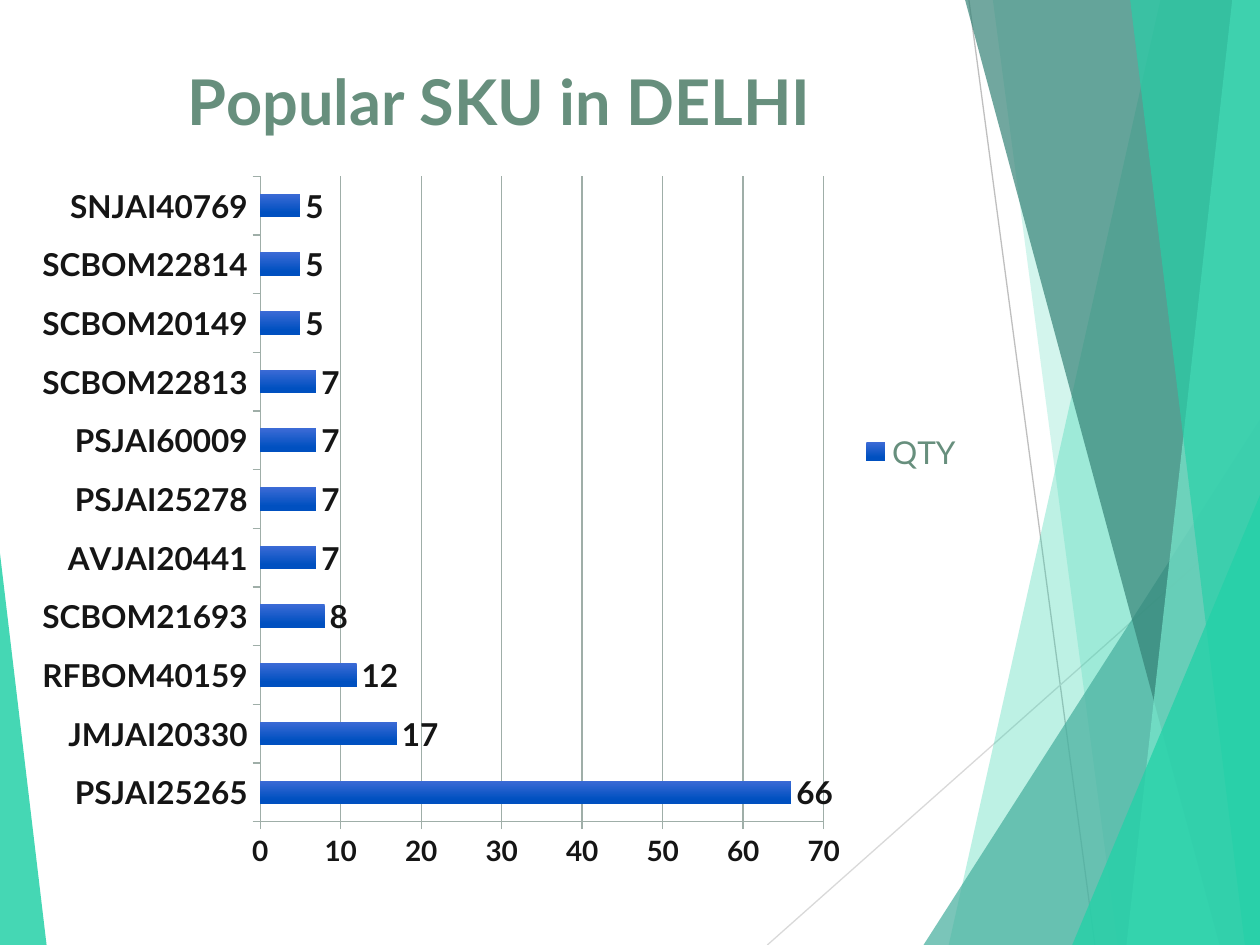
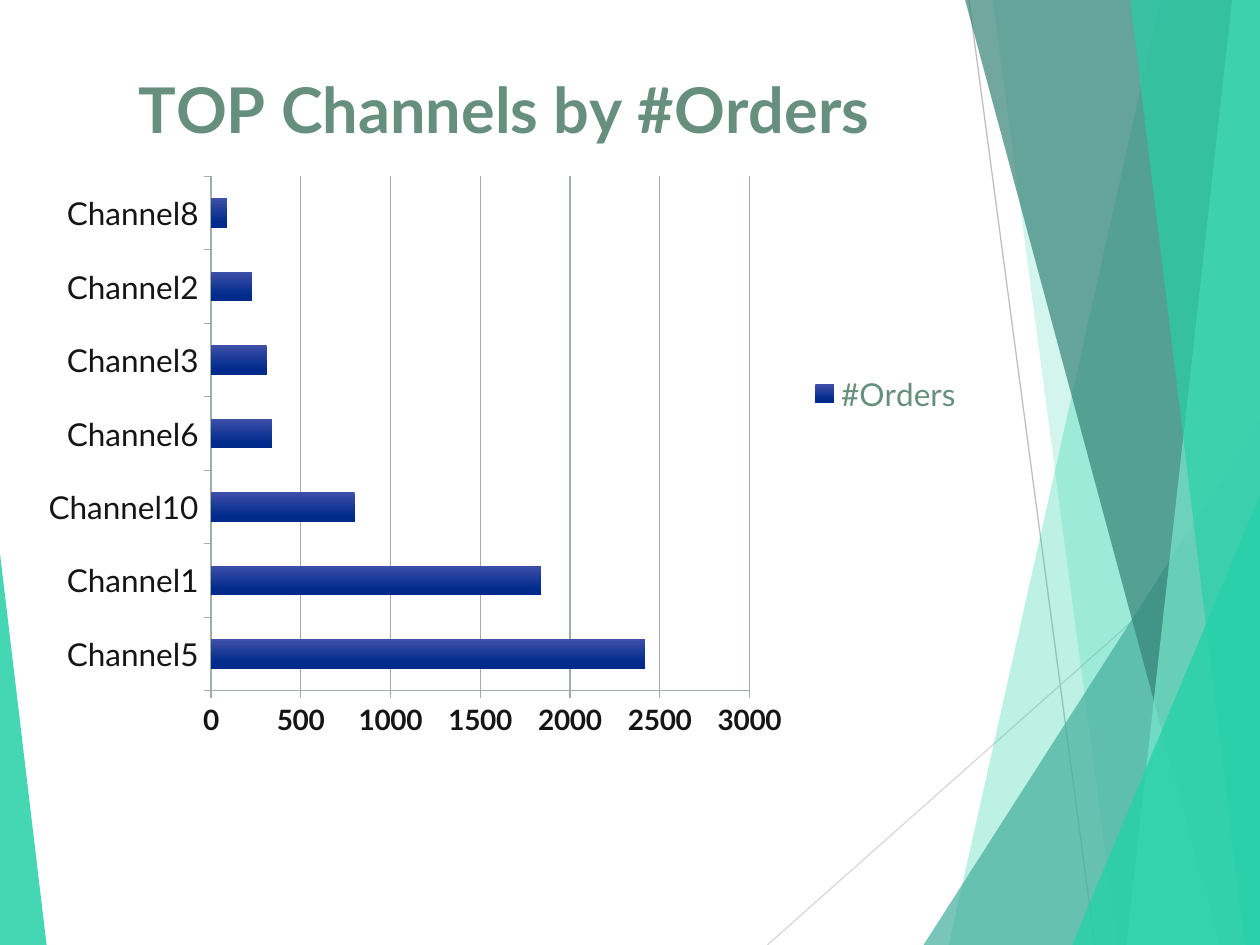
"""Build two bar chart slides over a shared faceted green backdrop."""
from lxml.etree import SubElement
from pptx import Presentation
from pptx.chart.data import CategoryChartData
from pptx.dml.color import RGBColor
from pptx.enum.chart import XL_CHART_TYPE, XL_LABEL_POSITION, XL_LEGEND_POSITION, XL_TICK_MARK
from pptx.enum.shapes import MSO_CONNECTOR, MSO_SHAPE
from pptx.oxml import parse_xml
from pptx.oxml.ns import nsdecls, qn
from pptx.util import Inches, Pt

MINT = RGBColor(0x25, 0xD1, 0xA8)
PALE_MINT = RGBColor(0x78, 0xE7, 0xCD)
TEAL = RGBColor(0x47, 0xAF, 0x9E)
DEEP_TEAL = RGBColor(0x35, 0x83, 0x77)
SAGE = RGBColor(0x67, 0x8F, 0x7D)
GRID_GRAY = RGBColor(0x9F, 0xAE, 0xA8)
LINE_GRAY = RGBColor(0xBF, 0xBF, 0xBF)
LIGHT_GRAY = RGBColor(0xD9, 0xD9, 0xD9)
INK = RGBColor(0x15, 0x15, 0x15)
BLUES = (RGBColor(0x3C, 0x6B, 0xD6), RGBColor(0x00, 0x50, 0xC0))
NAVIES = (RGBColor(0x3E, 0x4F, 0xA8), RGBColor(0x00, 0x2B, 0x8C))

COLUMNS, ROWS = 100, 75
FONT = "Lato"


class SlideWriter:
    """Holds the style and the current slide, placed on a grid of columns and rows."""

    def __init__(self):
        self.deck = Presentation()
        self.deck.slide_width, self.deck.slide_height = Inches(10), Inches(7.5)
        self.page = None

    def across(self, columns):
        return round(self.deck.slide_width * columns / COLUMNS)

    def down(self, rows):
        return round(self.deck.slide_height * rows / ROWS)

    def place(self, left, top, width, height):
        return self.across(left), self.down(top), self.across(width), self.down(height)

    def new_page(self):
        self.page = self.deck.slides.add_slide(self.deck.slide_layouts[6])
        self.backdrop()

    def line(self, start, end, color):
        line = self.page.shapes.add_connector(
            MSO_CONNECTOR.STRAIGHT,
            self.across(start[0]), self.down(start[1]),
            self.across(end[0]), self.down(end[1]))
        line.line.color.rgb = color
        line.line.width = Pt(0.75)
        SubElement(line._element.spPr, qn("a:effectLst"))

    def tint(self, shape, color, opacity):
        shape.shadow.inherit = False
        shape.line.fill.background()
        shape.fill.solid()
        shape.fill.fore_color.rgb = color
        paint = shape._element.spPr.find(qn("a:solidFill"))[0]
        SubElement(paint, qn("a:alpha")).set("val", str(opacity * 1000))

    def facet(self, top_left, bottom_left, color, opacity):
        corners = [(top_left, 0), (COLUMNS, 0), (COLUMNS, ROWS), (bottom_left, ROWS)]
        points = [(self.across(column), self.down(row)) for column, row in corners]
        builder = self.page.shapes.build_freeform(*points[0])
        builder.add_line_segments(points[1:], close=True)
        self.tint(builder.convert_to_shape(), color, opacity)

    def triangle(self, left, top, width, apex, color, opacity):
        shape = self.page.shapes.add_shape(
            MSO_SHAPE.ISOSCELES_TRIANGLE, *self.place(left, top, width, ROWS - top))
        shape.adjustments[0] = apex
        self.tint(shape, color, opacity)

    def backdrop(self):
        self.line((76.9, 0), (86.9, ROWS), LINE_GRAY)
        self.line((COLUMNS, 40.3), (60.9, ROWS), LIGHT_GRAY)
        self.facet(92.1, 75.3, MINT, 30)
        self.facet(78.8, 88.7, MINT, 20)
        self.triangle(73.3, 33.3, 26.7, 1, TEAL, 72)
        self.facet(76.6, 96.8, DEEP_TEAL, 70)
        self.facet(97.8, 89.4, PALE_MINT, 70)
        self.facet(89.7, 98.8, MINT, 65)
        self.triangle(85.1, 39.3, 14.9, 1, MINT, 80)
        self.triangle(0, 43.9, 3.7, 0, MINT, 85)

    def font(self, font, size, color, bold=False):
        font.name = FONT
        font.size = Pt(size)
        font.color.rgb = color
        font.bold = bold

    def axis(self, axis, size, bold):
        axis.major_tick_mark = XL_TICK_MARK.OUTSIDE
        axis.minor_tick_mark = XL_TICK_MARK.NONE
        self.font(axis.tick_labels.font, size, INK, bold)
        self.rule(axis.format.line)

    def rule(self, line):
        line.color.rgb = GRID_GRAY
        line.width = Pt(0.75)

    def plot_area(self, chart, area):
        plot_area = chart._chartSpace.chart.plotArea
        for layout in plot_area.findall(qn("c:layout")):
            plot_area.remove(layout)
        sizes = "".join(f'<c:{key} val="{share}"/>' for key, share in zip("xywh", area))
        plot_area.insert(0, parse_xml(
            f'<c:layout {nsdecls("c")}><c:manualLayout><c:layoutTarget val="inner"/>'
            '<c:xMode val="edge"/><c:yMode val="edge"/>'
            f'{sizes}</c:manualLayout></c:layout>'))

    def bar_chart(self, title, name, values, place, area, scale, shades, emphasis):
        data = CategoryChartData()
        data.categories = list(values)
        data.add_series(name, list(values.values()))
        chart = self.page.shapes.add_chart(
            XL_CHART_TYPE.BAR_CLUSTERED, *self.place(*place), data).chart
        self.font(chart.font, 18, SAGE)
        chart.has_title = True
        span = chart.chart_title.text_frame.paragraphs[0].add_run()
        span.text = title
        self.font(span.font, 36, SAGE, True)
        chart.chart_title.include_in_layout = False
        chart.has_legend = True
        chart.legend.position = XL_LEGEND_POSITION.RIGHT
        chart.legend.include_in_layout = False
        self.font(chart.legend.font, 18, SAGE)
        self.axis(chart.category_axis, 18, emphasis)
        self.axis(chart.value_axis, 16, True)
        chart.value_axis.minimum_scale = 0
        chart.value_axis.maximum_scale, chart.value_axis.major_unit = scale
        chart.value_axis.has_major_gridlines = True
        self.rule(chart.value_axis.major_gridlines.format.line)
        plot = chart.plots[0]
        plot.gap_width = 150
        plot.vary_by_categories = False
        fill = plot.series[0].format.fill
        fill.gradient()
        fill.gradient_angle = 270
        for stop, shade, position in zip(fill.gradient_stops, shades, (0, 0.8)):
            stop.color.rgb = shade
            stop.position = position
        if emphasis:
            plot.has_data_labels = True
            plot.data_labels.show_value = True
            plot.data_labels.position = XL_LABEL_POSITION.OUTSIDE_END
            self.font(plot.data_labels.font, 18, INK, True)
        self.plot_area(chart, area)


def main():
    writer = SlideWriter()
    writer.new_page()
    quantities = {
        "PSJAI25265": 66, "JMJAI20330": 17, "RFBOM40159": 12, "SCBOM21693": 8,
        "AVJAI20441": 7, "PSJAI25278": 7, "PSJAI60009": 7, "SCBOM22813": 7,
        "SCBOM20149": 5, "SCBOM22814": 5, "SNJAI40769": 5}
    writer.bar_chart(
        "Popular SKU in DELHI", "QTY", quantities, place=(1.7, 1.7, 75.8, 68.3),
        area=(0.25, 0.18, 0.59, 0.75), scale=(70, 10), shades=BLUES, emphasis=True)
    writer.new_page()
    orders = {
        "Channel5": 2420, "Channel1": 1840, "Channel10": 800, "Channel6": 340,
        "Channel3": 310, "Channel2": 230, "Channel8": 90}
    writer.bar_chart(
        "TOP Channels by #Orders", "#Orders", orders, place=(2.5, 2.5, 75, 57.5),
        area=(0.19, 0.2, 0.57, 0.71), scale=(3000, 500), shades=NAVIES, emphasis=False)
    writer.deck.save("out.pptx")


if __name__ == "__main__":
    main()
